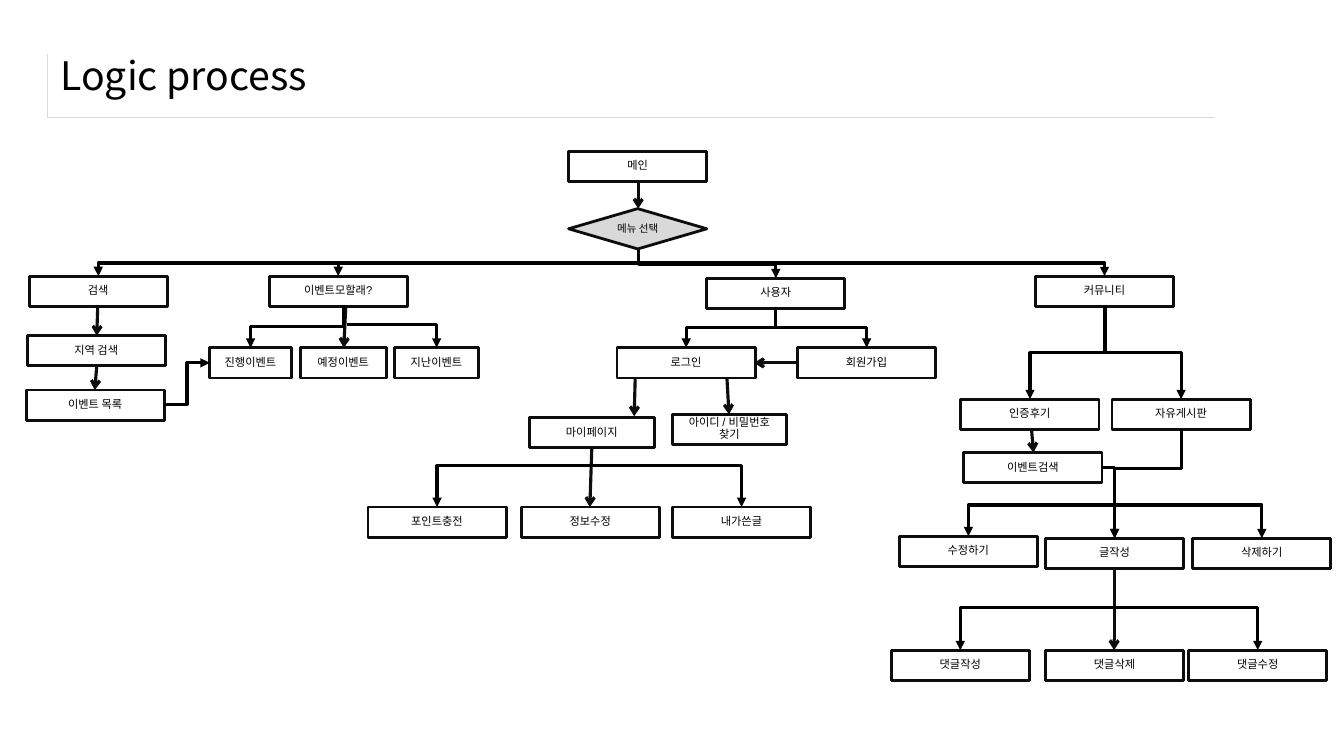
import pptx
import pptx.util
import pptx.dml.color
import pptx.enum.shapes
import pptx.enum.text
import lxml.etree

deck = pptx.Presentation()
unit = pptx.util.Inches(1)  # one column or row of the grid
deck.slide_width, deck.slide_height = int(13.33 * unit), int(7.5 * unit)
slide = deck.slides.add_slide(deck.slide_layouts[5])
kinds = pptx.enum.shapes.MSO_SHAPE
wires = pptx.enum.shapes.MSO_CONNECTOR
align = pptx.enum.text.PP_ALIGN
space = "{http://schemas.openxmlformats.org/drawingml/2006/main}"


def tint(code):
    return pptx.dml.color.RGBColor.from_string(code)


def wire(kind, ends, code, head):
    line = slide.shapes.add_connector(kind, *[int(v * unit) for v in ends])
    line.line.color.rgb = tint(code)
    line.line.width = pptx.util.Pt(2.25)
    lxml.etree.SubElement(line.line._get_or_add_ln(), space + "tailEnd", type=head)
    props = line._element.spPr
    lxml.etree.SubElement(props, space + "effectLst")
    return props


# Title with its thin corner rule
frame = slide.shapes.add_table(1, 1, *[int(v * unit) for v in (0.47, 0.54, 11.56, 0.62)])
frame.table.first_row = frame.table.horz_banding = False
cell = frame.table.cell(0, 0)
for side in ("lnL", "lnB"):
    edge = lxml.etree.SubElement(cell._tc.get_or_add_tcPr(), space + side, w="3175")
    fill = lxml.etree.SubElement(edge, space + "solidFill")
    lxml.etree.SubElement(fill, space + "srgbClr", val="D9D9D9")
cell.fill.background()

title = slide.shapes.title
place = {"left": 0.5, "top": 0.41, "width": 12.49, "height": 0.67}
for key, val in place.items():
    setattr(title, key, int(val * unit))
title.text_frame.text = "Logic process"
title.text_frame.auto_size = pptx.enum.text.MSO_AUTO_SIZE.NONE
title.text_frame.vertical_anchor = pptx.enum.text.MSO_ANCHOR.MIDDLE
para = title.text_frame.paragraphs[0]
para.alignment = align.LEFT
looks = {"name": "Noto Sans CJK KR", "size": pptx.util.Pt(28)}
for key, val in looks.items():
    setattr(para.font, key, val)
para.font.color.rgb = tint("000000")

# Boxes: row, then label, column and width
wide, tall = 1.37, 0.3
tiers = [
    (1.5, [("메인", 5.64, wide)]),
    (2.07, [("메뉴 선택", 5.64, wide)]),
    (2.74, [("검색", 0.29, wide), ("이벤트모할래?", 2.67, wide), ("커뮤니티", 10.27, wide)]),
    (2.76, [("사용자", 7.01, wide)]),
    (3.33, [("지역 검색", 0.27, wide)]),
    (3.45, [("진행이벤트", 2.08, 0.81), ("예정이벤트", 2.98, 0.85), ("지난이벤트", 3.91, 0.84),
            ("로그인", 6.12, wide), ("회원가입", 7.91, wide)]),
    (3.87, [("이벤트 목록", 0.26, wide)]),
    (3.96, [("인증후기", 9.53, wide), ("자유게시판", 11.03, wide)]),
    (4.11, [("아이디 / 비밀번호 찾기", 6.67, 1.13)]),
    (4.14, [("마이페이지", 5.25, 1.24)]),
    (4.49, [("이벤트검색", 9.56, wide)]),
    (5.03, [("포인트충전", 3.65, wide), ("정보수정", 5.17, wide), ("내가쓴글", 6.67, wide)]),
    (5.32, [("수정하기", 8.92, wide)]),
    (5.34, [("글작성", 10.37, wide), ("삭제하기", 11.83, wide)]),
    (6.45, [("댓글작성", 8.84, wide), ("댓글삭제", 10.37, wide), ("댓글수정", 11.79, wide)]),
]
tops = {}  # top centre of each box
for row, boxes in tiers:
    for label, col, width in boxes:
        pick = label == "메뉴 선택"
        kind = kinds.FLOWCHART_DECISION if pick else kinds.FLOWCHART_PROCESS
        high = 0.4 if pick else tall
        box = slide.shapes.add_shape(kind, *[int(v * unit) for v in (col, row, width, high)])
        box.shadow.inherit = False
        box.fill.solid()
        box.fill.fore_color.rgb = tint("D9D9D9" if pick else "FFFFFF")
        box.line.color.rgb = tint("0D0D0D")
        box.line.width = pptx.util.Pt(2)
        box.text_frame.text = label
        box.text_frame.vertical_anchor = pptx.enum.text.MSO_ANCHOR.MIDDLE
        para = box.text_frame.paragraphs[0]
        para.alignment = align.CENTER
        para.line_spacing = 0.9
        looks = {"name": "Arial", "size": pptx.util.Pt(7.5 if pick else 8)}
        for key, val in looks.items():
            setattr(para.font, key, val)
        para.font.color.rgb = tint("000000")
        tops[label] = (col + width / 2, row)

# Straight arrows
for ends in [
    (6.33, 1.79, 6.33, 2.07), (0.97, 3.03, 0.96, 3.33), (0.96, 3.63, 0.94, 3.87),
    (3.43, 3.03, 3.41, 3.45), (6.3, 3.75, 6.29, 4.13), (7.21, 3.75, 7.23, 4.11),
    (7.91, 3.6, 7.48, 3.6), (10.23, 4.25, 10.25, 4.49), (5.87, 4.44, 5.85, 5.03),
    (11.05, 5.64, 11.05, 6.45),
]:
    wire(wires.STRAIGHT, ends, "0D0D0D", "arrow")

# Forks that go down, across and down: an elbow turned by a quarter
for x, y, bend, kids in [
    (6.33, 2.48, 50000, ["검색", "이벤트모할래?", "사용자", "커뮤니티"]),
    (3.41, 3.03, 50000, ["진행이벤트"]),
    (7.69, 3.05, 50000, ["로그인", "회원가입"]),
    (10.96, 3.04, 50000, ["인증후기", "자유게시판"]),
    (11.72, 4.26, 35700, ["글작성"]),
]:
    for kid in kids:
        far, low = tops[kid]
        mid, half = (x + far) / 2, (y + low) / 2
        run, drop = (far - x) / 2, (low - y) / 2
        props = wire(wires.ELBOW, (mid - drop, half + run, mid + drop, half - run),
                     "000000", "triangle")
        props.find(space + "xfrm").set("rot", "5400000")
        shape = props.find(space + "prstGeom")
        guide = shape.find(space + "avLst")
        lxml.etree.SubElement(guide, space + "gd", name="adj1", fmla=f"val {bend}")

# Arms that go across, then down
for x, y, kids in [
    (3.44, 3.22, ["지난이벤트"]),
    (5.87, 4.62, ["포인트충전", "내가쓴글"]),
    (10.93, 4.64, ["글작성"]),
    (11.08, 5.01, ["수정하기", "삭제하기"]),
    (11.08, 6.03, ["댓글작성", "댓글수정"]),
]:
    for kid in kids:
        props = wire(wires.ELBOW, (x, y, *tops[kid]), "000000", "triangle")
        props.find(space + "prstGeom").set("prst", "bentConnector2")

# Step from the event list to the running events
wire(wires.ELBOW, (1.63, 4.01, 2.08, 3.6), "000000", "triangle")

deck.save("out.pptx")
